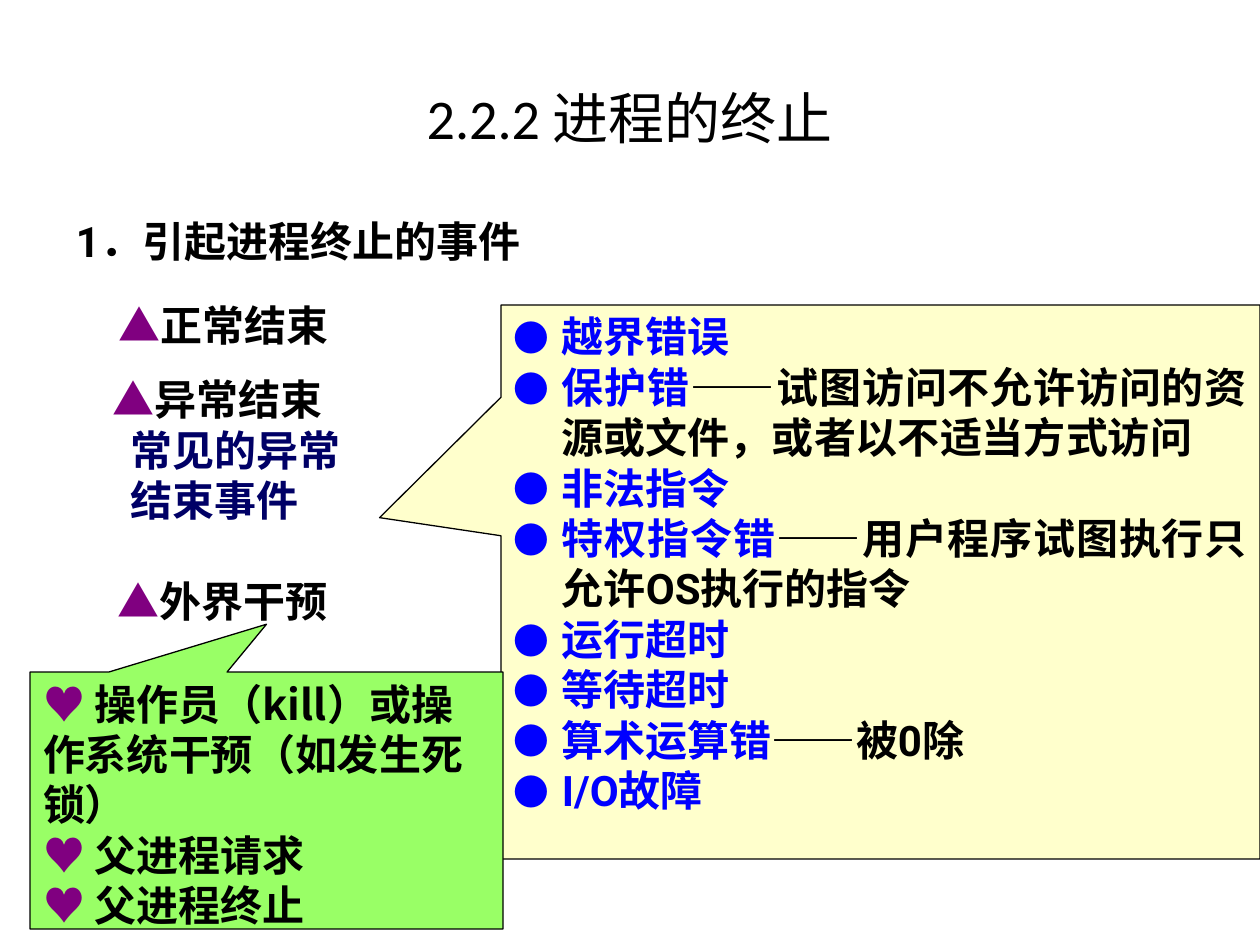
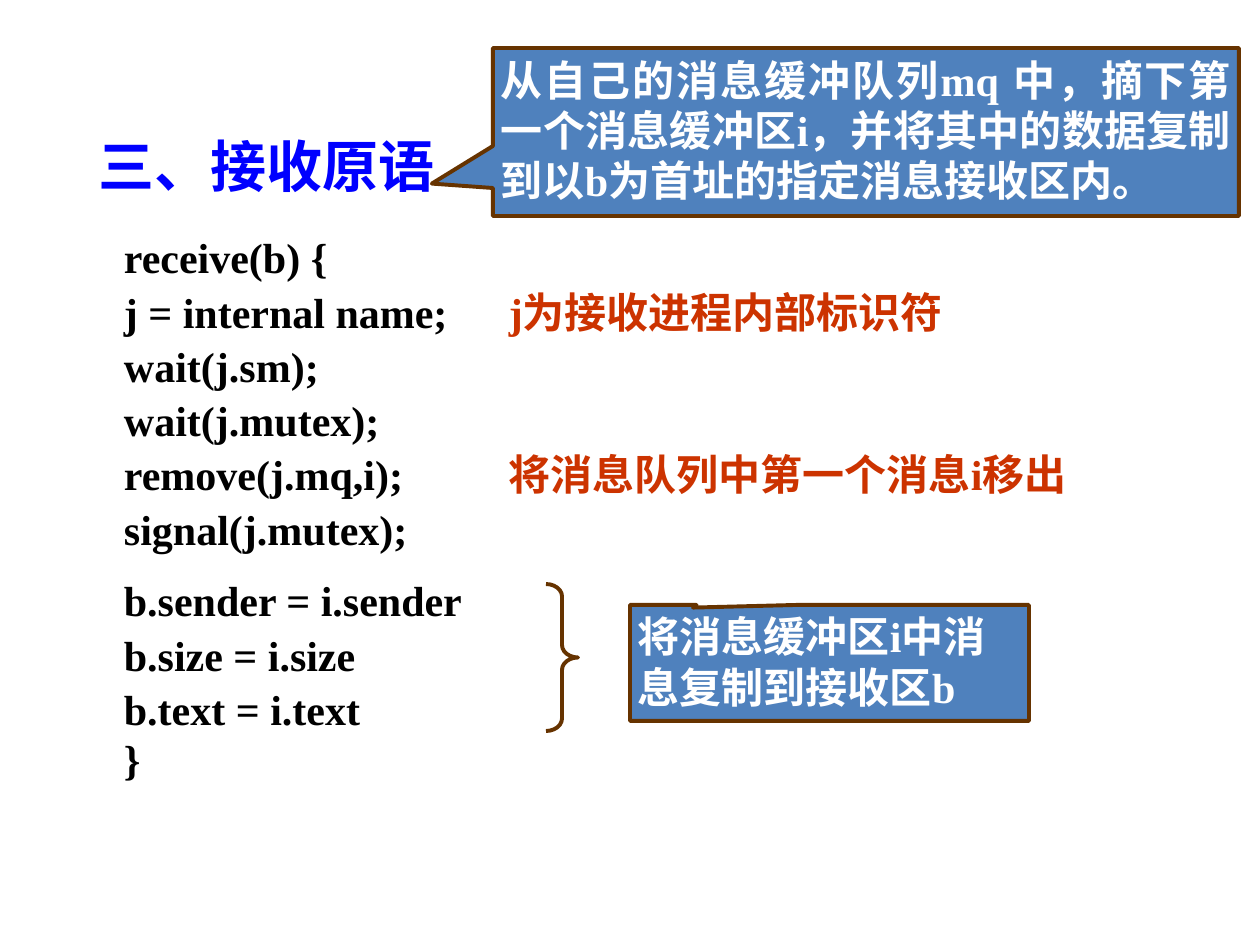
from dataclasses import dataclass
from typing import NamedTuple, Optional

from lxml.etree import SubElement
from pptx import Presentation
from pptx.dml.color import RGBColor
from pptx.enum.shapes import MSO_SHAPE as Preset
from pptx.enum.text import MSO_ANCHOR as Anchor, PP_ALIGN as Align
from pptx.oxml.ns import qn
from pptx.util import Emu, Pt

PX_PER_INCH = 126
BLACK = RGBColor(0x00, 0x00, 0x00)
WHITE = RGBColor(0xFF, 0xFF, 0xFF)
PURPLE = RGBColor(0x80, 0x00, 0x80)
BLUE = RGBColor(0x00, 0x00, 0xFF)
NAVY = RGBColor(0x00, 0x00, 0x66)
RUST = RGBColor(0xCC, 0x33, 0x00)
CREAM = RGBColor(0xFF, 0xFF, 0xCC)
GREEN = RGBColor(0x99, 0xFF, 0x66)
STEEL = RGBColor(0x4F, 0x81, 0xBD)
BROWN = RGBColor(0x66, 0x33, 0x00)
CJK, ROBOTO, ARIAL = "Noto Sans CJK SC", "Roboto", "Arial"
CALIBRI, TIMES = "Calibri", "Times New Roman"
BODY_SIZE, HEADING_SIZE = 24, 32
CODE_LEADING = 31
BULLET_INDENT = 48
COMMENT_TAB = 385


class Box(NamedTuple):
    left: int
    top: int
    width: int
    height: int


class Piece(NamedTuple):
    text: str
    color: RGBColor = BLACK
    font: str = CJK


@dataclass
class Line:
    pieces: list[Piece]
    align: Align = Align.LEFT
    leading: Optional[float] = None
    indent: int = 0
    bullet: Optional[RGBColor] = None
    tab: int = 0


@dataclass
class Block:
    box: Box
    lines: list[Line]
    size: int = BODY_SIZE
    bold: bool = True
    side_inset: int = 13
    anchor: Anchor = Anchor.TOP


@dataclass
class Callout:
    block: Block
    pointer: tuple[float, float]
    fill: RGBColor
    line: RGBColor
    weight: float


def px(length: int) -> Emu:
    return Emu(round(length * 914400 / PX_PER_INCH))


def place(box: Box) -> list[Emu]:
    return [px(length) for length in box]


def format_indent(paragraph, line: Line) -> None:
    props = paragraph._p.get_or_add_pPr()
    if line.indent:
        props.set("marL", str(px(line.indent)))
    if line.bullet is not None:
        props.set("indent", str(-px(line.indent)))
        color = SubElement(props, qn("a:buClr"))
        SubElement(color, qn("a:srgbClr"), val=str(line.bullet))
        SubElement(props, qn("a:buSzPct"), val="85000")
        SubElement(props, qn("a:buFont"), typeface=CJK)
        SubElement(props, qn("a:buChar"), char="●")
    if line.tab:
        stops = SubElement(props, qn("a:tabLst"))
        SubElement(stops, qn("a:tab"), pos=str(px(line.tab)), algn="l")


def write(shape, block: Block) -> None:
    frame = shape.text_frame
    frame.word_wrap = True
    frame.vertical_anchor = block.anchor
    frame.margin_left = frame.margin_right = px(block.side_inset)
    frame.margin_top = frame.margin_bottom = px(6)
    for index, line in enumerate(block.lines):
        paragraph = frame.add_paragraph() if index else frame.paragraphs[0]
        paragraph.alignment = line.align
        paragraph.line_spacing = Pt(line.leading or block.size * 1.2)
        format_indent(paragraph, line)
        for piece in line.pieces:
            run = paragraph.add_run()
            run.text = piece.text
            run.font.size = Pt(block.size)
            run.font.bold = block.bold
            run.font.name = piece.font
            run.font.color.rgb = piece.color
            SubElement(run._r.get_or_add_rPr(), qn("a:ea"), typeface=CJK)


def add_text(slide, block: Block) -> None:
    write(slide.shapes.add_textbox(*place(block.box)), block)


def add_callout(slide, callout: Callout) -> None:
    shape = slide.shapes.add_shape(
        Preset.RECTANGULAR_CALLOUT, *place(callout.block.box))
    shape.shadow.inherit = False
    shape.adjustments[0], shape.adjustments[1] = callout.pointer
    shape.fill.solid()
    shape.fill.fore_color.rgb = callout.fill
    shape.line.color.rgb = callout.line
    shape.line.width = Pt(callout.weight)
    write(shape, callout.block)


def add_brace(slide, box: Box) -> None:
    brace = slide.shapes.add_shape(Preset.RIGHT_BRACE, *place(box))
    brace.shadow.inherit = False
    brace.adjustments[0] = 0.389
    brace.fill.background()
    brace.line.color.rgb = BROWN
    brace.line.width = Pt(2.25)


def event(text: str, font: str = CJK) -> Line:
    return Line([Piece("▲", PURPLE, font), Piece(text, BLACK, font)])


def fault(name: str, detail: str = "") -> Line:
    pieces = [Piece(name, BLUE, ROBOTO)]
    if detail:
        pieces.append(Piece("——" + detail, BLACK, ROBOTO))
    return Line(pieces, Align.JUSTIFY, indent=BULLET_INDENT, bullet=BLUE)


def intervention(text: str) -> Line:
    return Line([Piece("♥ ", PURPLE), Piece(text)])


def code(statement: str, comment: str = "") -> Line:
    pieces = [Piece(statement, BLACK, TIMES)]
    if comment:
        pieces += [Piece("\t", BLACK, TIMES), Piece(comment, RUST, TIMES)]
    return Line(pieces, leading=CODE_LEADING, tab=COMMENT_TAB if comment else 0)


def explanation(box: Box, text: str, align: Align,
                pointer: tuple[float, float]) -> Callout:
    block = Block(box, [Line([Piece(text, WHITE, TIMES)], align)], side_inset=8)
    return Callout(block, pointer, STEEL, BROWN, 2.25)


def build_termination(slide) -> None:
    add_text(slide, Block(
        Box(63, 38, 1134, 158),
        [Line([Piece("2.2.2 ", BLACK, CALIBRI),
               Piece("进程的终止", BLACK, TIMES)], Align.CENTER)],
        HEADING_SIZE, bold=False, anchor=Anchor.MIDDLE))
    add_text(slide, Block(
        Box(63, 210, 567, 63),
        [Line([Piece("1", BLACK, ROBOTO), Piece("．引起进程终止的事件")])]))
    add_text(slide, Block(Box(105, 294, 284, 63), [event("正常结束")]))
    add_text(slide, Block(Box(105, 570, 391, 63), [event("外界干预")]))
    add_text(slide, Block(Box(100, 368, 328, 165), [
        event("异常结束", ARIAL),
        *(Line([Piece(text, NAVY, ARIAL)], indent=18)
          for text in ("常见的异常", "结束事件"))]))

    faults = [
        fault("越界错误"),
        fault("保护错", "试图访问不允许访问的资源或文件，或者以不适当方式访问"),
        fault("非法指令"),
        fault("特权指令错", "用户程序试图执行只允许OS执行的指令"),
        fault("运行超时"),
        fault("等待超时"),
        fault("算术运算错", "被0除"),
        fault("I/O故障"),
    ]
    add_callout(slide, Callout(Block(Box(501, 305, 759, 554), faults),
                               (-0.66, -0.116), CREAM, BLACK, 0.75))
    interventions = [intervention(text) for text in (
        "操作员（kill）或操作系统干预（如发生死锁）", "父进程请求", "父进程终止")]
    add_callout(slide, Callout(Block(Box(30, 672, 473, 257), interventions),
                               (0, -0.686), GREEN, BLACK, 0.75))


def build_receive(slide) -> None:
    add_text(slide, Block(
        Box(91, 125, 556, 81), [Line([Piece("三、接收原语", BLUE, TIMES)])],
        HEADING_SIZE, side_inset=8))
    add_text(slide, Block(Box(116, 222, 1102, 353), [
        code("receive(b) {"),
        code("j = internal name;", "j为接收进程内部标识符"),
        code("wait(j.sm);"),
        code("wait(j.mutex);"),
        code("remove(j.mq,i);", "将消息队列中第一个消息i移出"),
        code("signal(j.mutex);")], side_inset=8))
    add_callout(slide, explanation(
        Box(630, 605, 399, 116), "将消息缓冲区i中消息复制到接收区b",
        Align.LEFT, (-0.342, -0.477)))
    add_brace(slide, Box(546, 584, 32, 147))
    copies = [code(f"b.{field} = i.{field}") for field in ("sender", "size", "text")]
    closing = Line([Piece("}", BLACK, TIMES)])
    add_text(slide, Block(Box(116, 565, 822, 227), [*copies, closing], side_inset=8))
    add_callout(slide, explanation(
        Box(493, 48, 746, 168),
        "从自己的消息缓冲队列mq 中，摘下第一个消息缓冲区i，"
        "并将其中的数据复制到以b为首址的指定消息接收区内。",
        Align.JUSTIFY, (-0.582, 0.307)))


def main() -> None:
    deck = Presentation()
    deck.slide_width, deck.slide_height = px(1260), px(945)
    blank = deck.slide_layouts[6]
    for build in (build_termination, build_receive):
        build(deck.slides.add_slide(blank))
    deck.save("out.pptx")


if __name__ == "__main__":
    main()
